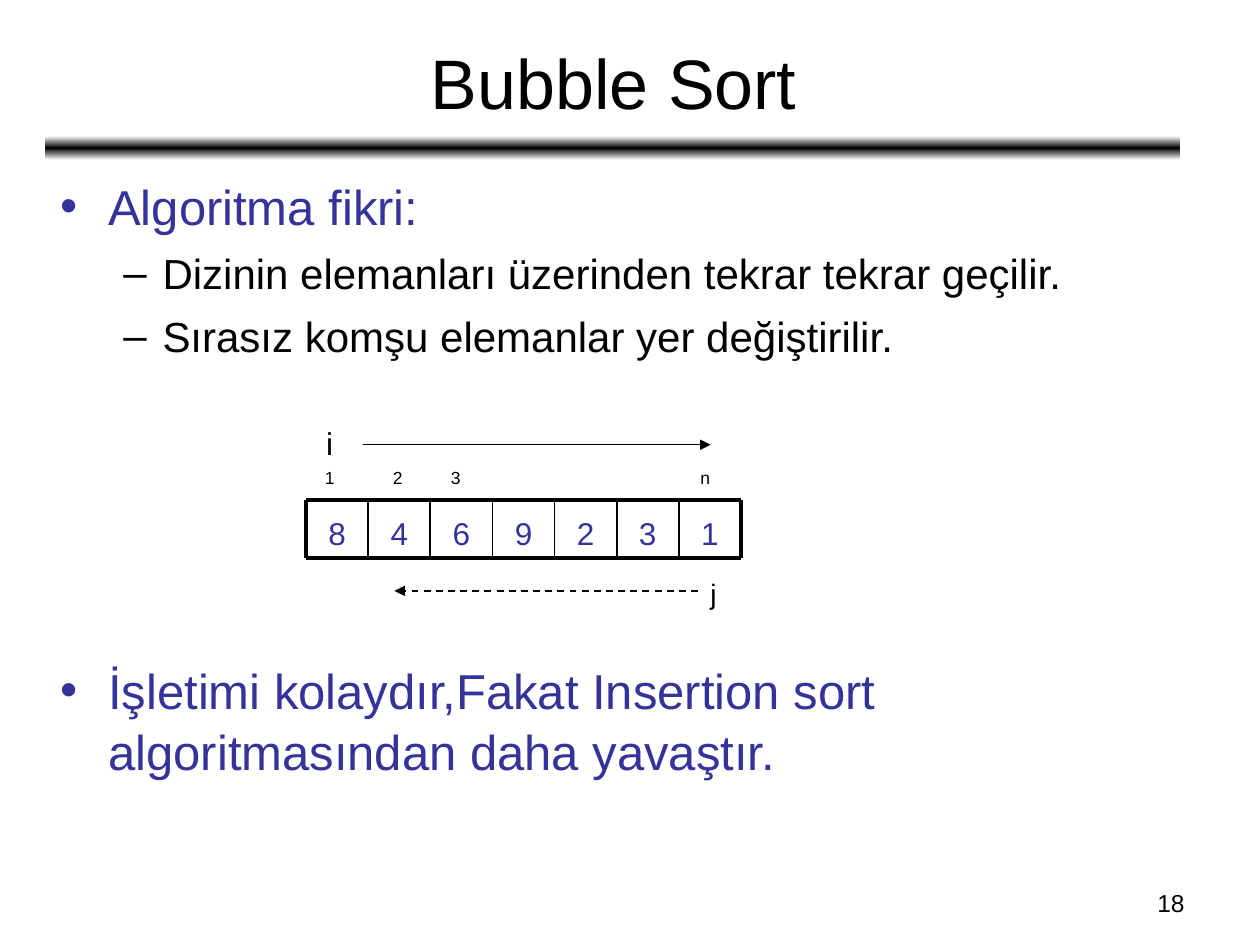
from copy import deepcopy
from dataclasses import dataclass

from lxml.etree import SubElement
from pptx import Presentation
from pptx.dml.color import RGBColor
from pptx.enum.dml import MSO_LINE
from pptx.enum.shapes import MSO_CONNECTOR, MSO_SHAPE
from pptx.enum.text import MSO_ANCHOR, MSO_AUTO_SIZE, PP_ALIGN
from pptx.oxml.ns import qn
from pptx.util import Inches, Pt


@dataclass(frozen=True)
class Theme:
    font: str = "Arial"
    black: str = "000000"
    white: str = "FFFFFF"
    accent: str = "333399"
    title: int = 40
    body: tuple = (28, 24)
    value: int = 18
    index: int = 10
    number: int = 14
    thick: float = 2.25
    thin: float = 1


theme = Theme()

# Content
title_text = "Bubble Sort"
page_number = "18"
bullets = [  # level, text, space before in points
    (0, "Algoritma fikri:", 7),
    (1, "Dizinin elemanları üzerinden tekrar tekrar geçilir.", 6),
    (1, "Sırasız komşu elemanlar yer değiştirilir.", 6),
    (0, "İşletimi kolaydır,Fakat Insertion sort algoritmasından daha yavaştır.", 170),
]
bullet_styles = [  # mark, colour, left margin, hanging indent
    ("•", theme.accent, 0.38, 0.38),
    ("–", theme.black, 0.81, 0.31),
]
values = [8, 4, 6, 9, 2, 3, 1]
markers = [  # text, left, top, height, size
    ("1", 2.48, 3.66, 0.27, theme.index),
    ("2", 3.02, 3.66, 0.27, theme.index),
    ("3", 3.48, 3.66, 0.27, theme.index),
    ("n", 5.46, 3.66, 0.27, theme.index),
    ("i", 2.49, 3.32, 0.4, 18),
    ("j", 5.54, 4.53, 0.37, 16),
]
array_left, array_top, array_right, array_bottom = 2.43, 3.97, 5.88, 4.43


def write(para, text, size, color=theme.black, align=PP_ALIGN.LEFT):
    para.alignment = align
    span = para.add_run()
    span.text = text
    span.font.name = theme.font
    span.font.size = Pt(size)
    span.font.color.rgb = RGBColor.from_string(color)


def add_text(shapes, text, left, top, width, height, anchor=MSO_ANCHOR.TOP, **style):
    box = shapes.add_textbox(*map(Inches, (left, top, width, height)))
    box.text_frame.word_wrap = True
    box.text_frame.vertical_anchor = anchor
    write(box.text_frame.paragraphs[0], text, **style)


def add_line(shapes, start, end, width, arrow=False, dash=None):
    line = shapes.add_connector(MSO_CONNECTOR.STRAIGHT, *map(Inches, (*start, *end)))
    line.line.color.rgb = RGBColor.from_string(theme.black)
    line.line.width = Pt(width)
    if dash:
        line.line.dash_style = dash
    properties = line._element.spPr
    if arrow:
        SubElement(properties.find(qn("a:ln")), qn("a:tailEnd"), type="triangle")
    SubElement(properties, qn("a:effectLst"))


def place(holder, left, top, width, height, anchor):
    holder.left, holder.top = Inches(left), Inches(top)
    holder.width, holder.height = Inches(width), Inches(height)
    frame = holder.text_frame
    frame.auto_size = MSO_AUTO_SIZE.NONE
    frame.word_wrap = True
    frame.vertical_anchor = anchor
    return frame


def set_bullet(para, mark, color, margin, hanging):
    properties = para._p.get_or_add_pPr()
    properties.set("marL", str(Inches(margin)))
    properties.set("indent", str(-Inches(hanging)))
    bullet_color = SubElement(properties, qn("a:buClr"))
    SubElement(bullet_color, qn("a:srgbClr"), val=color)
    SubElement(properties, qn("a:buFont"), typeface=theme.font)
    SubElement(properties, qn("a:buChar"), char=mark)


deck = Presentation()
deck.slide_width, deck.slide_height = Inches(10), Inches(7.5)
page = deck.slides.add_slide(deck.slide_layouts[1])
title, body = page.placeholders[0], page.placeholders[1]

# Gradient rule under the title
rule = page.shapes.add_shape(
    MSO_SHAPE.ROUNDED_RECTANGLE, *map(Inches, (0.36, 1.08, 9.01, 0.19)))
rule.shadow.inherit = False
rule.line.fill.background()
rule.fill.gradient()
rule.fill.gradient_angle = 90
stop_list = rule._element.spPr.find(qn("a:gradFill")).find(qn("a:gsLst"))
stop_list.append(deepcopy(stop_list[0]))
for stop, position, color in zip(
        rule.fill.gradient_stops, (0, 0.5, 1), (theme.white, theme.black, theme.white)):
    stop.position = position
    stop.color.rgb = RGBColor.from_string(color)

# Title and bullets
title_frame = place(title, 0.37, 0.11, 9, 0.99, MSO_ANCHOR.MIDDLE)
title_frame.margin_top = Inches(0.14)
write(title_frame.paragraphs[0], title_text, theme.title, align=PP_ALIGN.CENTER)

body_frame = place(body, 0.38, 1.33, 9, 5.55, MSO_ANCHOR.TOP)
for number, (level, text, space) in enumerate(bullets):
    para = body_frame.add_paragraph() if number else body_frame.paragraphs[0]
    para.level = level
    para.space_before = Pt(space)
    para.line_spacing = 1.04
    style = bullet_styles[level]
    write(para, text, theme.body[level], style[1])
    set_bullet(para, *style)

# Array cells and their borders
array = page.shapes.add_group_shape().shapes
cell_width = (array_right - array_left) / len(values)
edges = [array_left + cell_width * step for step in range(len(values) + 1)]
for value, left in zip(values, edges):
    add_text(array, str(value), left, array_top, cell_width, array_bottom - array_top,
             anchor=MSO_ANCHOR.BOTTOM, size=theme.value, color=theme.accent,
             align=PP_ALIGN.CENTER)
for y in (array_top, array_bottom):
    add_line(array, (array_left, y), (array_right, y), theme.thick)
for x in edges:
    outer = x in (edges[0], edges[-1])
    add_line(array, (x, array_top), (x, array_bottom),
             theme.thick if outer else theme.thin)

# Index labels and direction arrows
for text, left, top, height, size in markers:
    add_text(page.shapes, text, left, top, 0.25, height, size=size)
add_line(page.shapes, (2.88, 3.53), (5.64, 3.53), 0.75, arrow=True)
add_line(page.shapes, (5.54, 4.69), (3.13, 4.69), theme.thin, arrow=True,
         dash=MSO_LINE.DASH)

# Page number
add_text(page.shapes, page_number, 7.17, 7, 2.33, 0.35,
         size=theme.number, align=PP_ALIGN.RIGHT)

deck.save("out.pptx")
